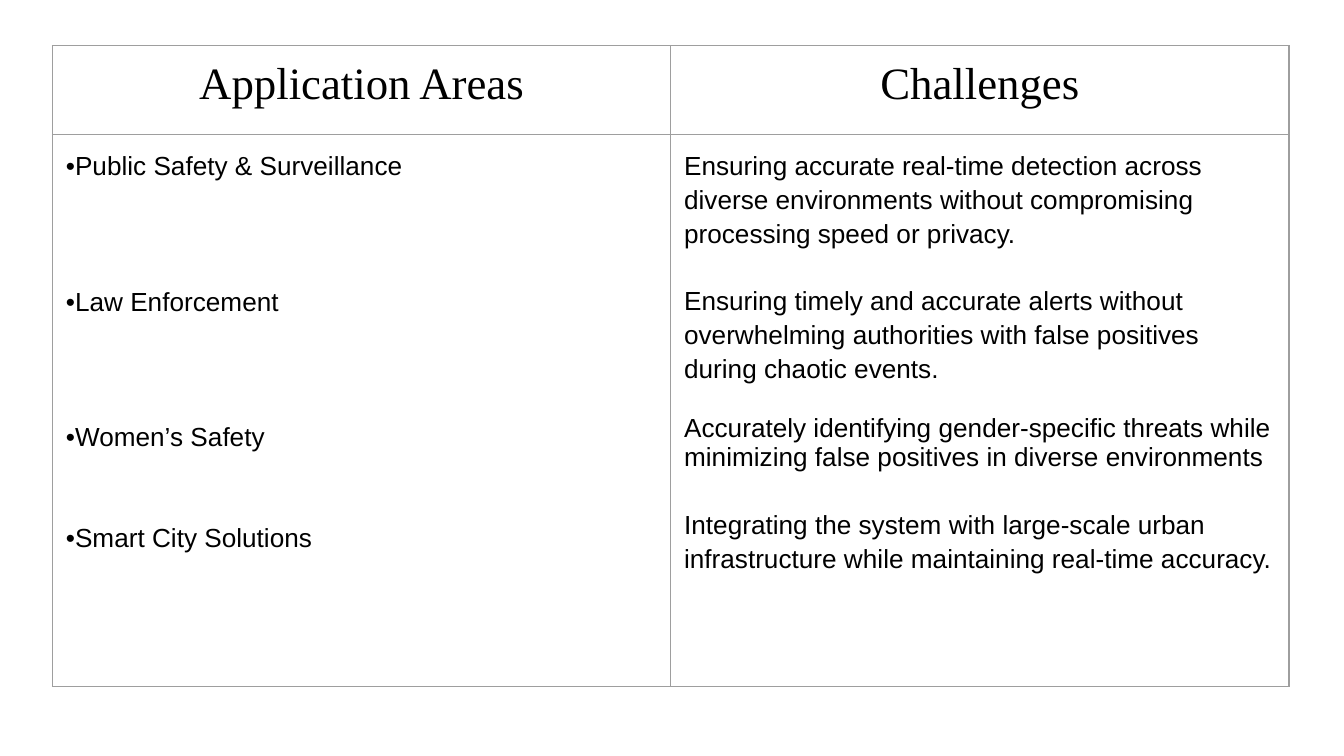
from dataclasses import dataclass

from lxml import etree
from pptx import Presentation
from pptx import util as u
from pptx.dml.color import RGBColor
from pptx.enum import text
from pptx.oxml import ns


@dataclass(frozen=True)
class Theme:
    ink: str = "000000"
    rule: str = "9E9E9E"
    width: float = 0.75
    head: str = "Times New Roman"
    body: str = "Arial"
    large: int = 24
    small: int = 14
    inset: float = 0.1
    lead: float = 1.15


THEME = Theme()
HEADS = ["Application Areas", "Challenges"]
AREAS = [
    ("•Public Safety & Surveillance", 0, THEME.lead),
    ("•Law Enforcement", 54.5, THEME.lead),
    ("•Women’s Safety", 54.5, THEME.lead),
    ("•Smart City Solutions", 36, THEME.lead),
]
ISSUES = [
    ("Ensuring accurate real-time detection across diverse environments "
     "without compromising processing speed or privacy.", 0, THEME.lead),
    ("Ensuring timely and accurate alerts without overwhelming authorities "
     "with false positives during chaotic events.", 18, THEME.lead),
    ("Accurately identifying gender-specific threats while minimizing "
     "false positives in diverse environments", 16, 1),
    ("Integrating the system with large-scale urban infrastructure "
     "while maintaining real-time accuracy.", 18, THEME.lead),
]


def add_node(parent, tag, **attrs):
    return etree.SubElement(parent, ns.qn(tag), **attrs)


def style_cell(cell):
    props = cell._tc.get_or_add_tcPr()
    for side in "LRTB":
        line = add_node(props, f"a:ln{side}", w=str(u.Pt(THEME.width)))
        fill = add_node(line, "a:solidFill")
        add_node(fill, "a:srgbClr", val=THEME.rule)
    cell.fill.background()
    cell.margin_left = cell.margin_right = u.Inches(THEME.inset)
    cell.margin_top = cell.margin_bottom = u.Inches(THEME.inset)


def set_font(para, name, size):
    para.font.name = name
    para.font.size = u.Pt(size)
    para.font.color.rgb = RGBColor.from_string(THEME.ink)


def fill_head(cell, label):
    style_cell(cell)
    para = cell.text_frame.paragraphs[0]
    para.text = label
    para.alignment = text.PP_ALIGN.CENTER
    set_font(para, THEME.head, THEME.large)


def fill_body(cell, items):
    style_cell(cell)
    frame = cell.text_frame
    for i, (words, gap, lead) in enumerate(items):
        para = frame.add_paragraph() if i else frame.paragraphs[0]
        para.text = words
        para.line_spacing = lead
        if gap:
            para.space_before = u.Pt(gap)
        set_font(para, THEME.body, THEME.small)


def add_grid(slide):
    frame = slide.shapes.add_table(
        2, 2, u.Inches(0.39), u.Inches(0.34), u.Inches(9.2), u.Inches(4.77))
    table = frame.table
    table.first_row = table.horz_banding = False
    for row, height in zip(table.rows, (0.66, 4.11)):
        row.height = u.Inches(height)
    for col, (label, items) in enumerate(zip(HEADS, (AREAS, ISSUES))):
        fill_head(table.cell(0, col), label)
        fill_body(table.cell(1, col), items)


def main():
    deck = Presentation()
    deck.slide_width = u.Inches(10)
    deck.slide_height = u.Inches(10) * 9 // 16
    slide = deck.slides.add_slide(deck.slide_layouts[6])
    add_grid(slide)
    deck.save("out.pptx")


if __name__ == "__main__":
    main()
